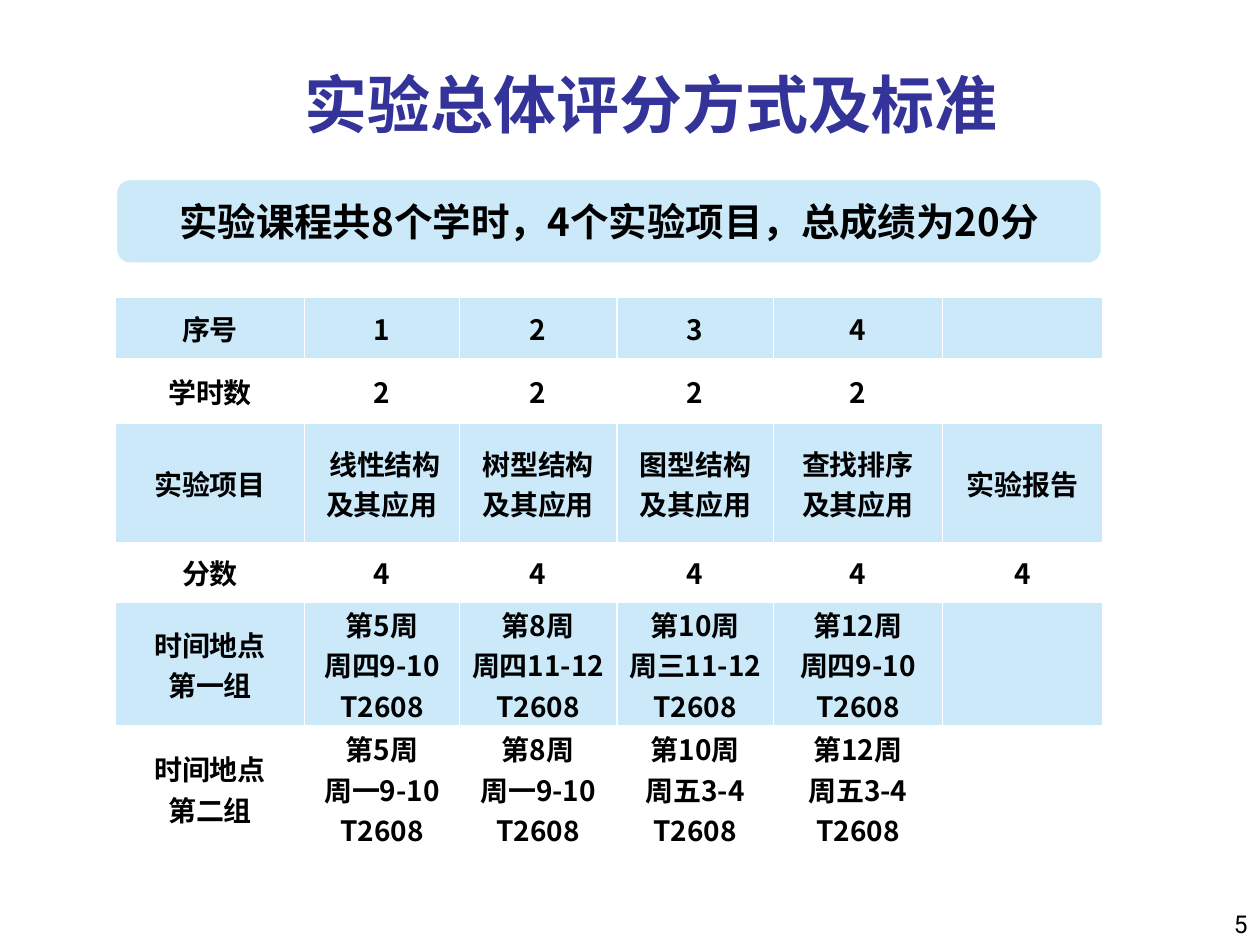
from lxml import etree
from pptx import Presentation
from pptx.dml.color import RGBColor
from pptx.enum import shapes, text
from pptx.oxml import ns
from pptx.util import Pt

BLACK = RGBColor(0x00, 0x00, 0x00)
WHITE = RGBColor(0xFF, 0xFF, 0xFF)
INDIGO = RGBColor(0x33, 0x33, 0x99)
SKY = RGBColor(0xCB, 0xE9, 0xF9)
CJK = "Noto Sans CJK SC"
LEFT, WIDTH = Pt(66), Pt(564)


def write(frame, content, size, font=CJK, color=BLACK, bold=True,
          align=text.PP_ALIGN.CENTER):
    """Fill a text frame, one paragraph for each line of content."""
    frame.text = content
    for paragraph in frame.paragraphs:
        paragraph.alignment = align
        for run in paragraph.runs:
            for key, value in {"size": Pt(size), "bold": bold, "name": font}.items():
                setattr(run.font, key, value)
            run.font.color.rgb = color
            east_asian = etree.SubElement(run._r.get_or_add_rPr(), ns.qn("a:ea"))
            east_asian.set("typeface", CJK)


def add_borders(cell, color, points):
    properties = cell._tc.get_or_add_tcPr()
    for position, side in enumerate(("lnL", "lnR", "lnT", "lnB")):
        line = etree.Element(ns.qn(f"a:{side}"), w=str(Pt(points)))
        fill = etree.SubElement(line, ns.qn("a:solidFill"))
        etree.SubElement(fill, ns.qn("a:srgbClr"), val=str(color))
        properties.insert(position, line)


prs = Presentation()
prs.slide_width, prs.slide_height = Pt(720), Pt(540)
slide = prs.slides.add_slide(prs.slide_layouts[5])

# Title
title = slide.shapes.title
title.left, title.top, title.width, title.height = Pt(42), Pt(12), Pt(660), Pt(72)
title.text_frame.vertical_anchor = text.MSO_ANCHOR.BOTTOM
write(title.text_frame, "实验总体评分方式及标准", 36, "Times New Roman", INDIGO)

# Course summary
summary = slide.shapes.add_shape(
    shapes.MSO_SHAPE.ROUNDED_RECTANGLE, LEFT, Pt(102), WIDTH, Pt(49))
summary.shadow.inherit = False
summary.fill.solid()
summary.fill.fore_color.rgb = SKY
summary.line.color.rgb = WHITE
summary.line.width = Pt(2)
summary.text_frame.vertical_anchor = text.MSO_ANCHOR.MIDDLE
write(summary.text_frame, "实验课程共8个学时，4个实验项目，总成绩为20分", 22)

# Score and schedule table
schedule = [
    ["序号", "1", "2", "3", "4", ""],
    ["学时数", "2", "2", "2", "2", ""],
    ["实验项目", " 线性结构\n及其应用", "树型结构\n及其应用", "图型结构\n及其应用",
     "查找排序\n及其应用", "实验报告"],
    ["分数", "4", "4", "4", "4", "4"],
    ["时间地点\n第一组", "第5周\n周四9-10\nT2608", "第8周\n周四11-12\nT2608",
     "第10周\n周三11-12\nT2608", "第12周\n周四9-10\nT2608", ""],
    ["时间地点\n第二组", "第5周\n周一9-10\nT2608", "第8周\n周一9-10\nT2608",
     "第10周\n周五3-4\nT2608", "第12周\n周五3-4\nT2608", ""],
]
column_widths = [108, 88.5, 90, 89.5, 96.5, 91.5]
row_heights = [35, 37, 68, 34, 71, 71]
table = slide.shapes.add_table(
    len(row_heights), len(column_widths), LEFT, Pt(170), WIDTH,
    Pt(sum(row_heights))).table
for column, width in zip(table.columns, column_widths):
    column.width = Pt(width)
for row, height in zip(table.rows, row_heights):
    row.height = Pt(height)

cell_format = {
    "margin_left": Pt(0.75), "margin_right": Pt(0.75),
    "margin_top": Pt(0.75), "margin_bottom": Pt(0),
    "vertical_anchor": text.MSO_ANCHOR.MIDDLE,
}
for r, entries in enumerate(schedule):
    for c, entry in enumerate(entries):
        cell = table.cell(r, c)
        for key, value in cell_format.items():
            setattr(cell, key, value)
        cell.fill.solid()
        cell.fill.fore_color.rgb = WHITE if r % 2 else SKY
        add_borders(cell, WHITE, 1)
        if entry:
            write(cell.text_frame, entry, 16)

# Page number
page = slide.shapes.add_textbox(Pt(570), Pt(504), Pt(150), Pt(36)).text_frame
page.word_wrap = True
page.vertical_anchor = text.MSO_ANCHOR.BOTTOM
write(page, "5", 14, "Roboto", bold=False, align=text.PP_ALIGN.RIGHT)

prs.save("out.pptx")
